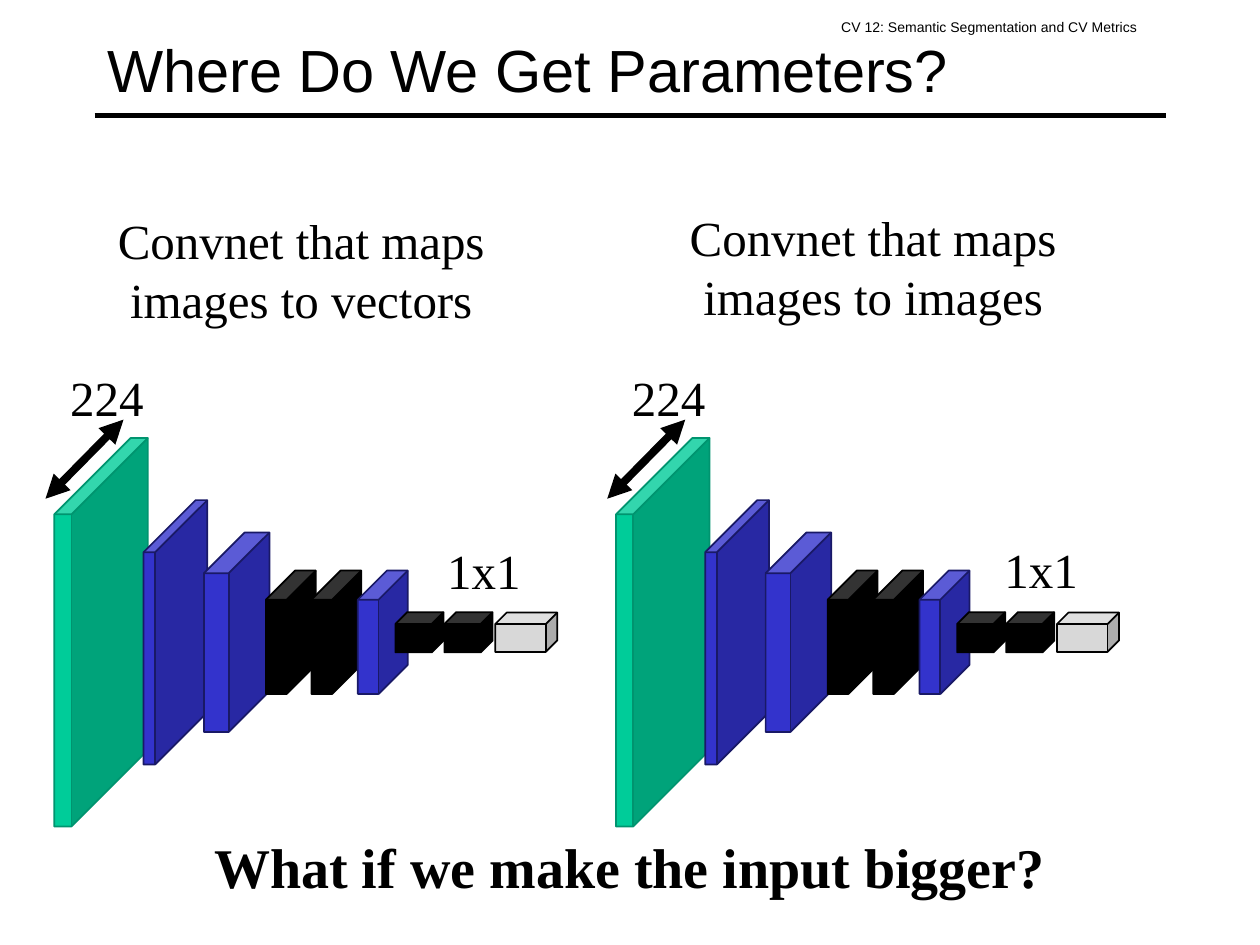
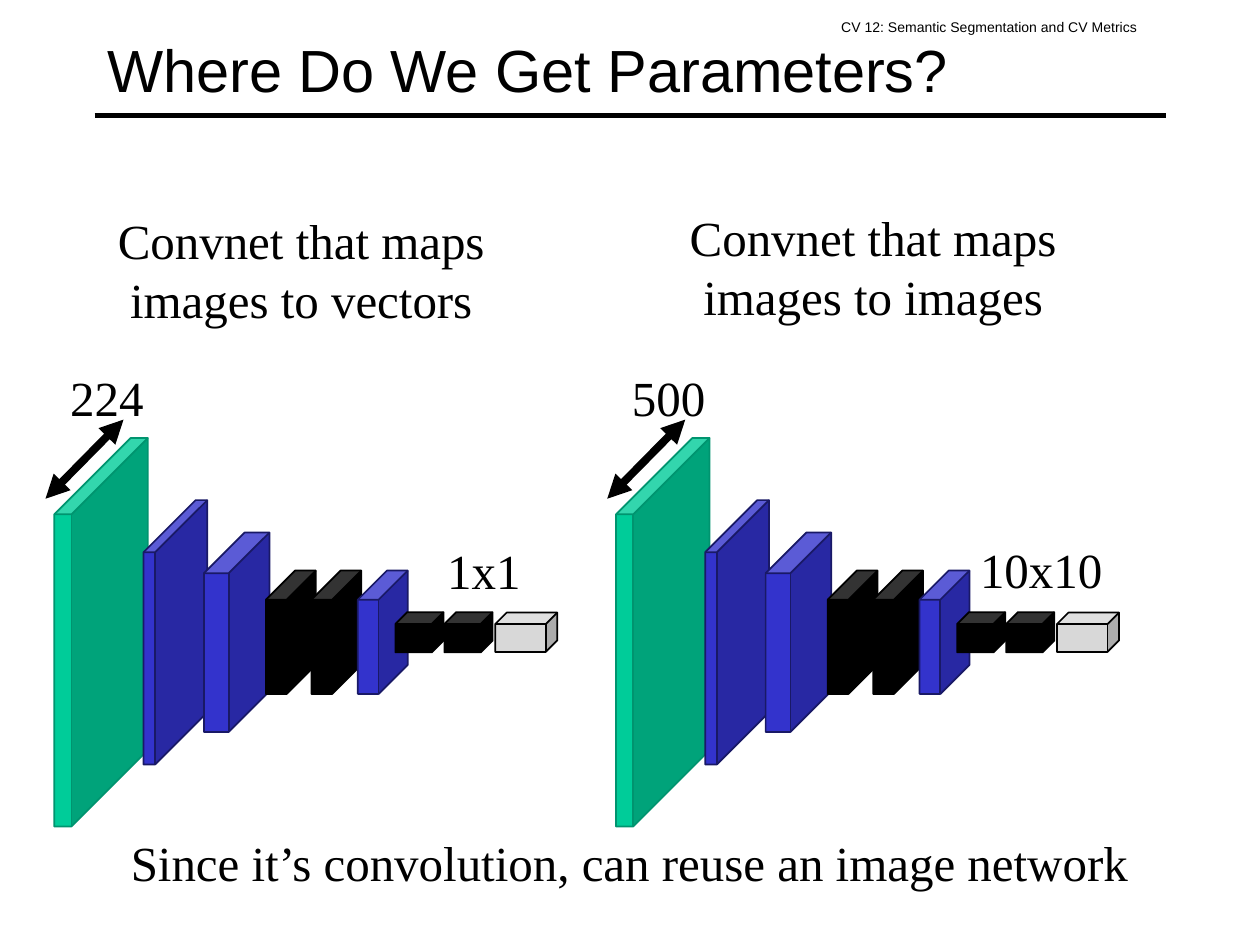
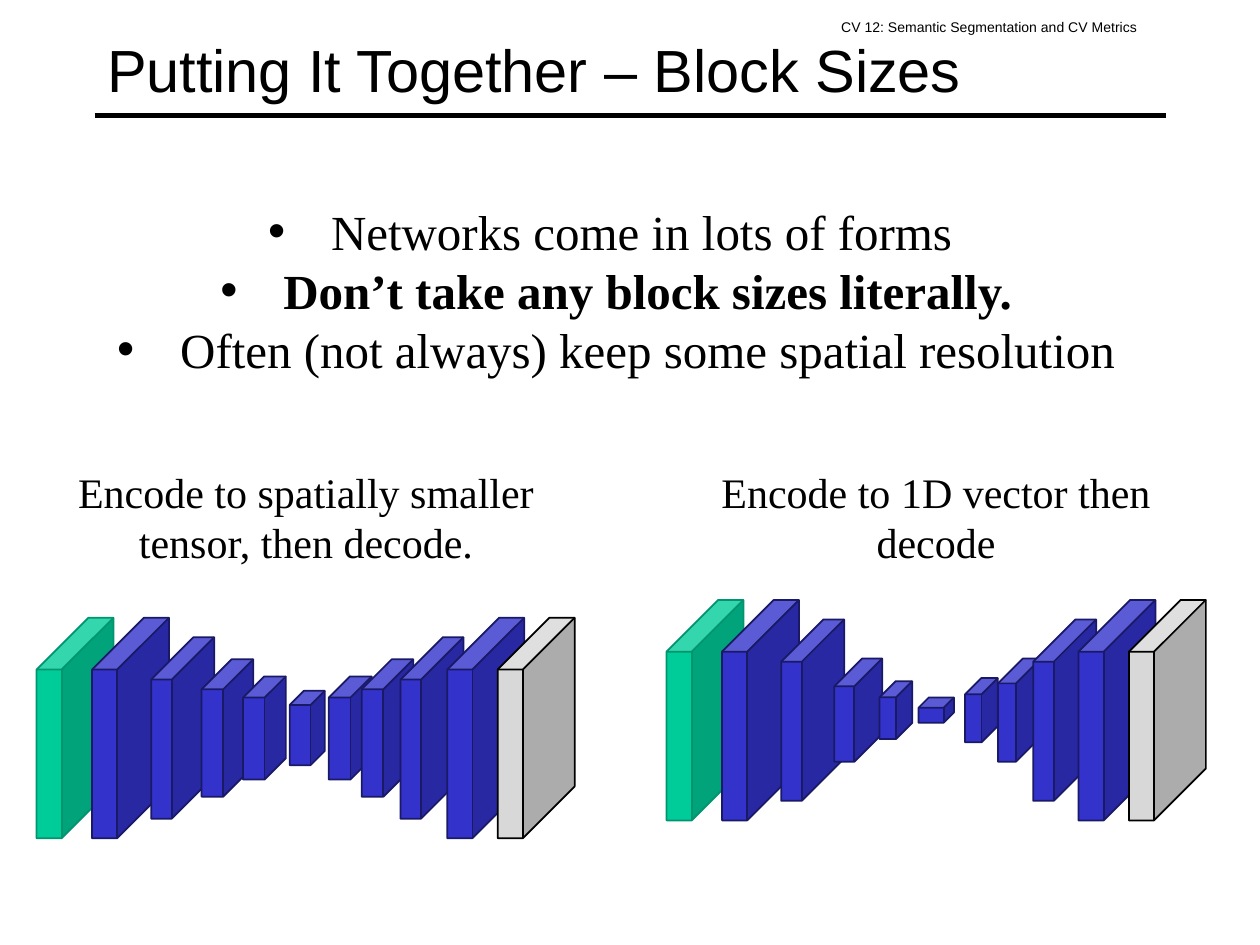
from collections import namedtuple
from dataclasses import dataclass

from lxml.etree import SubElement
from pptx import Presentation
from pptx.dml.color import RGBColor
from pptx.enum.shapes import MSO_CONNECTOR, MSO_SHAPE
from pptx.enum.text import MSO_ANCHOR, MSO_AUTO_SIZE, PP_ALIGN
from pptx.oxml.ns import qn
from pptx.util import Pt


@dataclass(frozen=True)
class Theme:
    ink: str = "000000"
    sans: str = "Arial"
    serif: str = "Times New Roman"
    title: int = 34
    close: int = 32
    body: int = 28
    note: int = 24
    head: int = 8
    # Each paint is a fill and a line colour.
    green: tuple = ("00CC99", "00946F")
    blue: tuple = ("3333CC", "191966")
    black: tuple = ("000000", "000000")
    gray: tuple = ("D8D8D8", "000000")


T = Theme()
Block = namedtuple("Block", "left width height depth paint")

FULL = (44, 126, 0.673)
LARGE = (36, 103.7, 0.673)

# Block offsets are measured from the left edge of the network.
VECTOR = [
    Block(0, 53.5, 222, 0.816, T.green),
    Block(51, 36.5, 151, 0.816, T.blue),
    Block(85.5, 37.5, 114, 0.621, T.blue),
    Block(121, 28.5, 70.5, 0.584, T.black),
    Block(147, 28.5, 70.5, 0.584, T.black),
    Block(173.5, 28.5, 70.5, 0.584, T.blue),
    Block(195, 27.5, 23, 0.293, T.black),
    Block(223, 27.5, 23, 0.293, T.black),
    Block(252, 35.5, 22.5, 0.293, T.gray),
]
START = [
    Block(0, *FULL, T.green),
    Block(31.7, *FULL, T.blue),
    Block(65.5, *LARGE, T.blue),
]
TENSOR = START + [
    Block(94.3, 29.5, 78.5, 0.581, T.blue),
    Block(118, 24.5, 59, 0.496, T.blue),
    Block(144.7, 20, 42.5, 0.405, T.blue),
    Block(167, 24.5, 59, 0.496, T.blue),
    Block(185.8, 29.5, 78.5, 0.581, T.blue),
    Block(208, *LARGE, T.blue),
    Block(234.7, *FULL, T.blue),
    Block(263.5, *FULL, T.gray),
]
NARROW = START + [
    Block(95.8, 27.4, 59, 0.581, T.blue),
    Block(121.7, 18.7, 33.1, 0.496, T.blue),
    Block(144, 20.2, 14.4, 0.405, T.blue),
    Block(170.6, 18.7, 36.7, 0.496, T.blue),
    Block(189.4, 24.5, 59, 0.581, T.blue),
    Block(209.5, *LARGE, T.blue),
    Block(235.4, *FULL, T.blue),
    Block(264.2, *FULL, T.gray),
]


def rgb(code):
    return RGBColor.from_string(code)


def say(para, text, size=T.body, font=T.serif, bold=False, align=PP_ALIGN.CENTER):
    para.alignment = align
    para.space_before = Pt(0)
    run = para.add_run()
    run.text = text
    run.font.size = Pt(size)
    run.font.name = font
    run.font.bold = bold
    run.font.color.rgb = rgb(T.ink)


def place(shape, left, top, width, height):
    shape.left, shape.top = Pt(left), Pt(top)
    shape.width, shape.height = Pt(width), Pt(height)


def label(shapes, box, text, **form):
    shape = shapes.add_textbox(*map(Pt, box))
    shape.text_frame.word_wrap = True
    say(shape.text_frame.paragraphs[0], text, **form)
    return shape


def rule(shapes, start, end, width, arrows=False):
    line = shapes.add_connector(MSO_CONNECTOR.STRAIGHT, *map(Pt, start + end))
    line.line.width = Pt(width)
    line.line.color.rgb = rgb(T.ink)
    if arrows:
        for tag in ("a:headEnd", "a:tailEnd"):
            SubElement(line.line._get_or_add_ln(), qn(tag), type="triangle")
    SubElement(line.element.spPr, qn("a:effectLst"))
    return line


def bullet(para):
    """Add a round bullet with a half-inch hanging indent."""
    props = para._p.get_or_add_pPr()
    props.set("marL", str(Pt(36)))
    props.set("indent", str(Pt(-36)))
    tint = SubElement(props, qn("a:buClr"))
    SubElement(tint, qn("a:srgbClr"), val=T.ink)
    SubElement(props, qn("a:buFont"), typeface=T.sans)
    SubElement(props, qn("a:buChar"), char="•")


def net(slide, left, mid, blocks):
    """Group a row of cubes centred on the height mid."""
    group = slide.shapes.add_group_shape()
    for item in blocks:
        box = (left + item.left, mid - item.height / 2, item.width, item.height)
        cube = group.shapes.add_shape(MSO_SHAPE.CUBE, *map(Pt, box))
        cube.adjustments[0] = item.depth
        cube.shadow.inherit = False
        fill, edge = item.paint
        cube.fill.solid()
        cube.fill.fore_color.rgb = rgb(fill)
        cube.line.color.rgb = rgb(edge)
        cube.line.width = Pt(1)
    return group


def sized(slide, left, size):
    """Draw the vector network with its input size and arrow."""
    shapes = net(slide, left, 361.3, VECTOR).shapes
    rule(shapes, (left - 5, 285), (left + 39.6, 239.8), 4.5, arrows=True)
    label(shapes, (left + 2, 206.6, 79, 41), size, align=PP_ALIGN.LEFT)


def page(deck, layout, title):
    slide = deck.slides.add_slide(deck.slide_layouts[layout])
    shape = slide.shapes.title
    place(shape, 54, 6, 612, 66)
    frame = shape.text_frame
    frame.auto_size = MSO_AUTO_SIZE.NONE
    frame.vertical_anchor = MSO_ANCHOR.MIDDLE
    say(frame.paragraphs[0], title, size=T.title, font=T.sans, align=PP_ALIGN.LEFT)
    return slide


def brand(deck, slide):
    """Build the rule and running head, then move them to the master."""
    line = rule(slide.shapes, (54, 66), (666, 66), 3)
    head = label(slide.shapes, (473.6, 5.8, 236, 24.5),
                 "CV 12: Semantic Segmentation and CV Metrics",
                 size=T.head, font=T.sans, align=PP_ALIGN.LEFT)
    head.text_frame.margin_top = head.text_frame.margin_bottom = Pt(7.2)
    for part in (line, head):
        deck.slide_master.shapes.element.append(part.element)


def compare(deck, size, out):
    """Set the vector network beside one with the given input and output."""
    slide = page(deck, 5, "Where Do We Get Parameters?")
    label(slide.shapes, (26, 116.6, 292.3, 75), "Convnet that maps images to vectors")
    label(slide.shapes, (352.8, 115.2, 292.3, 75), "Convnet that maps images to images")
    sized(slide, 31, "224")
    sized(slide, 352, size)
    label(slide.shapes, (233.3, 305.3, 86.4, 41), "1x1")
    label(slide.shapes, (545, 304.6, 100, 41), out)
    return slide


def forms(deck):
    slide = page(deck, 1, "Putting It Together – Block Sizes")
    body = slide.placeholders[1]
    place(body, 26.6, 111.6, 651, 108.7)
    frame = body.text_frame
    frame.auto_size = MSO_AUTO_SIZE.NONE
    lines = [
        ("Networks come in lots of forms ", False),
        ("Don’t take any block sizes literally.", True),
        ("Often (not always) keep some spatial resolution", False),
    ]
    for row, (text, bold) in enumerate(lines):
        para = frame.add_paragraph() if row else frame.paragraphs[0]
        bullet(para)
        say(para, text, bold=bold)
    pairs = [
        (20.9, 416, TENSOR, "Encode to spatially smaller tensor, then decode."),
        (380.9, 405.8, NARROW, "Encode to 1D vector then decode"),
    ]
    for left, mid, blocks, text in pairs:
        group = net(slide, left, mid, blocks)
        label(group.shapes, (left, 262.8, 308, 65.5), text, size=T.note)


def main():
    deck = Presentation()
    deck.slide_width, deck.slide_height = Pt(720), Pt(540)
    first = compare(deck, "224", "1x1")
    brand(deck, first)
    label(first.shapes, (40.3, 472.3, 639.4, 46), "What if we make the input bigger?",
          size=T.close, bold=True)
    second = compare(deck, "500", "10x10")
    label(second.shapes, (8, 472.3, 703.4, 41),
          "Since it’s convolution, can reuse an image network")
    forms(deck)
    deck.save("out.pptx")


if __name__ == "__main__":
    main()
